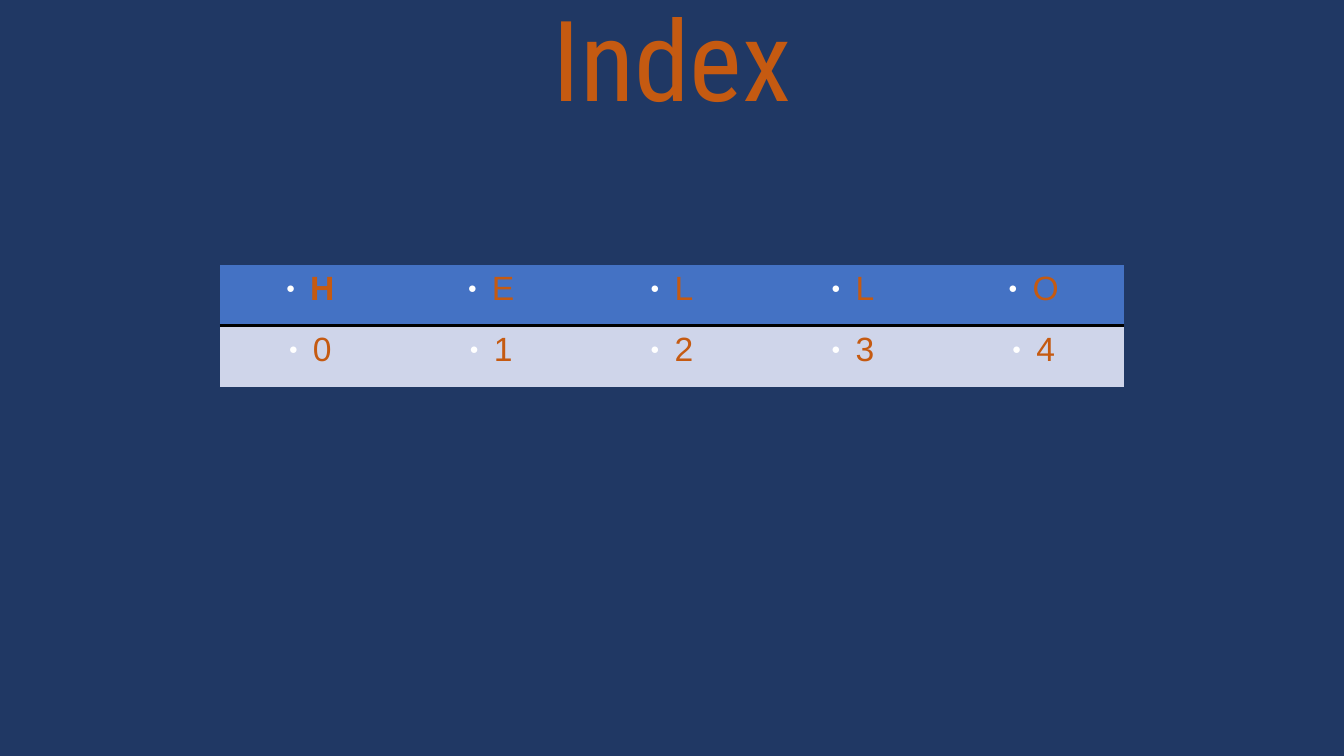
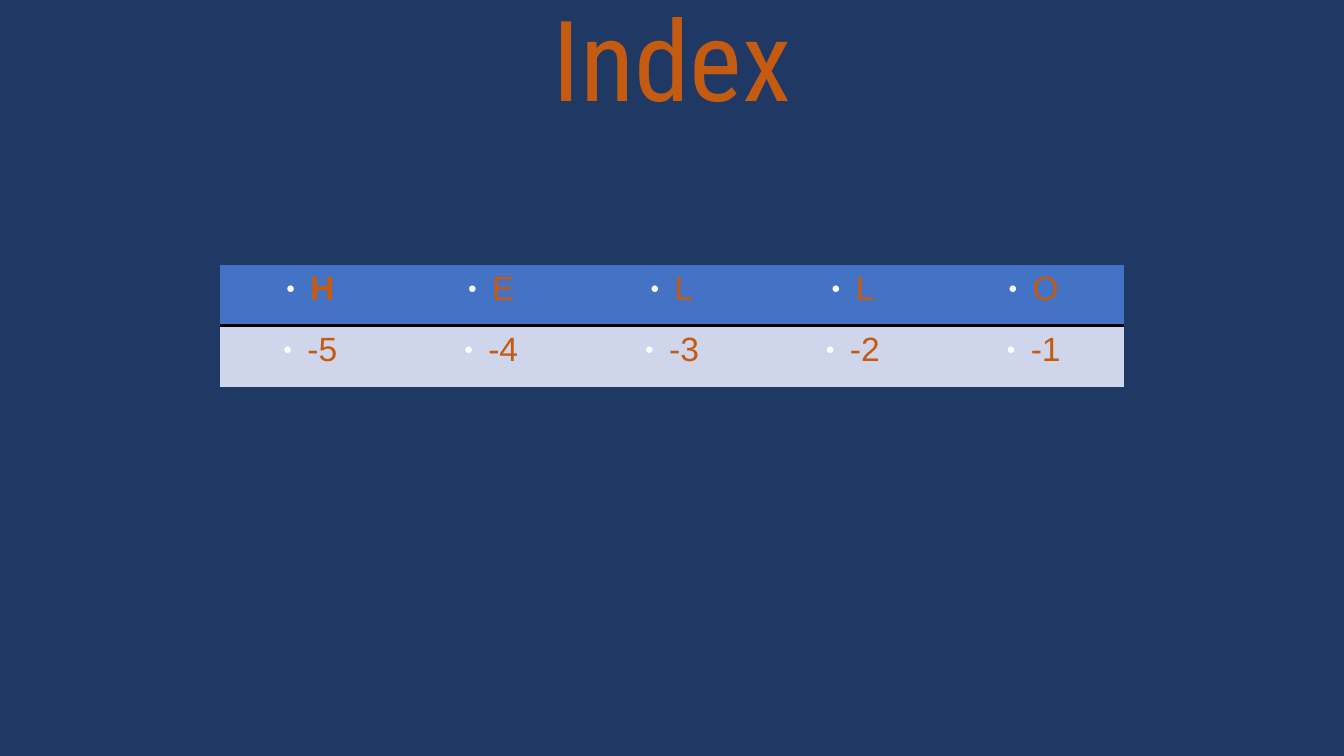
import pptx
import pptx.dml.color
import pptx.enum.text
import pptx.oxml
import pptx.oxml.ns
import pptx.util

WIDTH, HEIGHT = 13.33, 7.5
TITLE_WIDTH, TITLE_HEIGHT = 11.5, 1.4
TABLE_WIDTH, TABLE_HEIGHT = 8.97, 1.21
TABLE_TOP = 0.35 * HEIGHT
INDENT = 0.24
NAVY, ORANGE, WHITE, BLACK = "203864", "C55A11", "FFFFFF", "000000"
ROW_FILLS = ("4472C4", "CFD5EA")
RULE_SIDES = ("lnB", "lnT")
PLAIN_TABLE = "{2D5ABB26-0587-4C30-8999-92F81FD0307C}"
WORD = "HELLO"
INDEX_STARTS = (0, -len(WORD))


def inches(*lengths):
    """Convert lengths in inches to slide units."""
    return [pptx.util.Inches(length) for length in lengths]


def colour(hex_text):
    """Return the colour for a hex string."""
    return pptx.dml.color.RGBColor.from_string(hex_text)


def xml(tag, attributes="", content=""):
    """Build one drawing element."""
    return pptx.oxml.parse_xml(
        f'<a:{tag} {pptx.oxml.ns.nsdecls("a")} {attributes}>{content}</a:{tag}>'
    )


def paint(fill, hex_text):
    """Make a fill solid in the given colour."""
    fill.solid()
    fill.fore_color.rgb = colour(hex_text)


def write(para, text, font, size, bold=False):
    """Add one centred orange run to a paragraph."""
    para.alignment = pptx.enum.text.PP_ALIGN.CENTER
    span = para.add_run()
    span.text = text
    span.font.name = font
    span.font.size = pptx.util.Pt(size)
    span.font.bold = bold
    span.font.color.rgb = colour(ORANGE)


def add_bullet(para):
    """Give a paragraph a small white bullet and a hanging indent."""
    properties = para._p.get_or_add_pPr()
    indent = pptx.util.Inches(INDENT)
    properties.set("marL", str(indent))
    properties.set("indent", str(-indent))
    properties.append(xml("buClr", content=f'<a:srgbClr val="{WHITE}"/>'))
    properties.append(xml("buSzPct", 'val="45000"'))
    properties.append(xml("buFont", 'typeface="Arial"'))
    properties.append(xml("buChar", 'char="●"'))


def add_rule(cell, side):
    """Draw a black border on one side of a cell."""
    line = f'<a:solidFill><a:srgbClr val="{BLACK}"/></a:solidFill>'
    width = pptx.util.Pt(1.98)
    cell._tc.get_or_add_tcPr().insert(0, xml(side, f'w="{width}"', line))


def set_title(page, text):
    """Place and format the title of a slide."""
    box = page.shapes.title
    box.left, box.top, box.width, box.height = inches(
        (WIDTH - TITLE_WIDTH) / 2, 0, TITLE_WIDTH, TITLE_HEIGHT
    )
    frame = box.text_frame
    frame.auto_size = pptx.enum.text.MSO_AUTO_SIZE.NONE
    frame.vertical_anchor = pptx.enum.text.MSO_ANCHOR.TOP
    para = frame.paragraphs[0]
    para.line_spacing = 0.9
    para.space_before = pptx.util.Pt(10)
    write(para, text, "Roboto Condensed", 80)


def add_index_table(page, rows):
    """Add the table of letters above their indexes."""
    place = inches((WIDTH - TABLE_WIDTH) / 2, TABLE_TOP, TABLE_WIDTH, TABLE_HEIGHT)
    holder = page.shapes.add_table(len(rows), len(rows[0]), *place)
    style = holder.element.find(".//" + pptx.oxml.ns.qn("a:tableStyleId"))
    style.text = PLAIN_TABLE
    for row, texts in enumerate(rows):
        for column, text in enumerate(texts):
            cell = holder.table.cell(row, column)
            paint(cell.fill, ROW_FILLS[row])
            add_rule(cell, RULE_SIDES[row])
            para = cell.text_frame.paragraphs[0]
            write(para, text, "Arial", 24, bold=row == column == 0)
            add_bullet(para)


def main():
    """Build and save the deck."""
    deck = pptx.Presentation()
    deck.slide_width, deck.slide_height = inches(WIDTH, HEIGHT)
    paint(deck.slide_master.background.fill, NAVY)
    for start in INDEX_STARTS:
        page = deck.slides.add_slide(deck.slide_layouts.get_by_name("Title Only"))
        set_title(page, "Index")
        indexes = [str(start + step) for step in range(len(WORD))]
        add_index_table(page, [list(WORD), indexes])
    deck.save("out.pptx")


if __name__ == "__main__":
    main()
